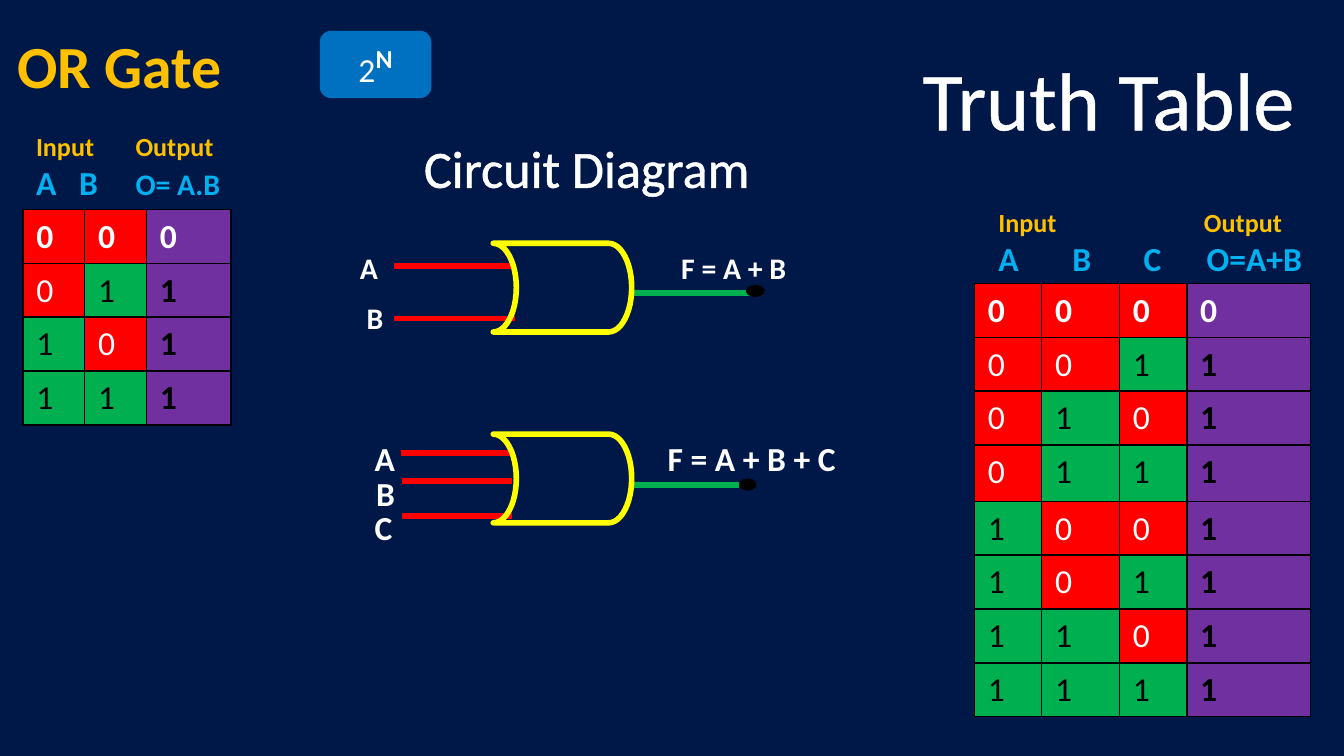
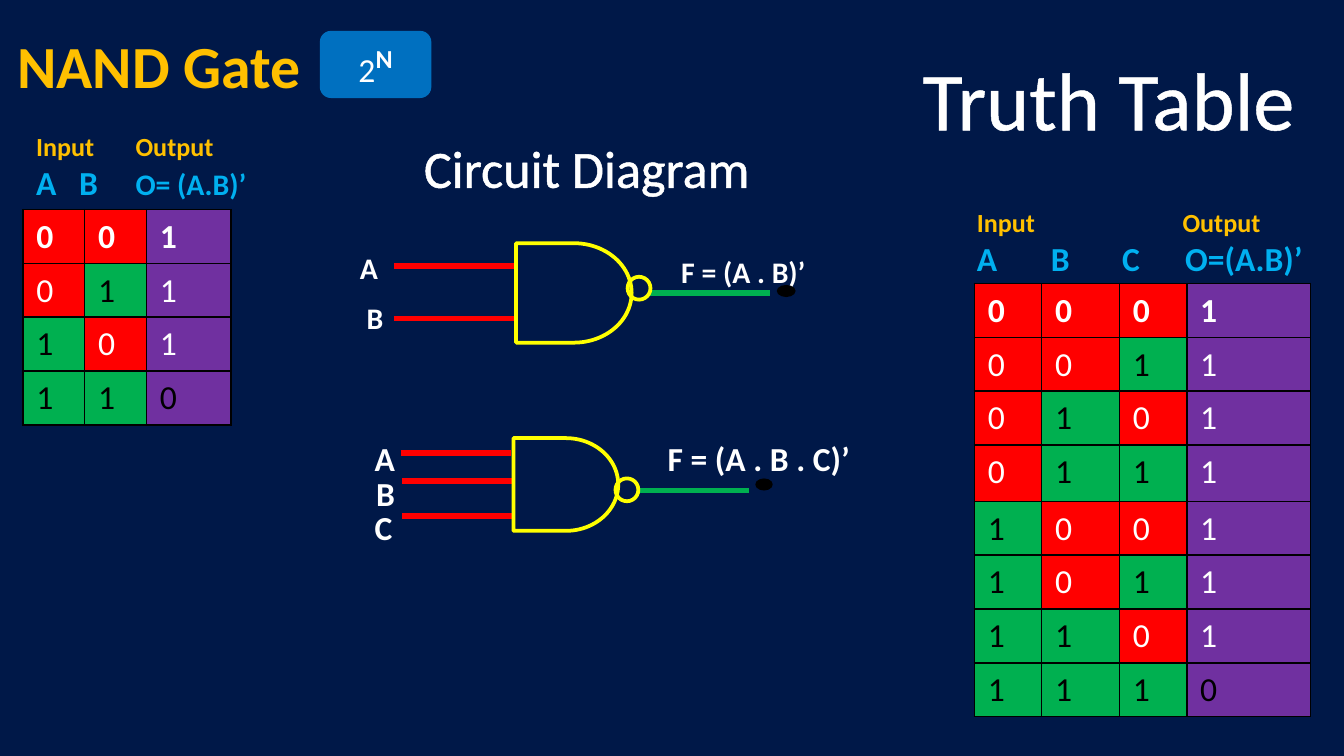
"""Build two slides on the OR and NAND gates, each with truth tables and circuit diagrams."""
from itertools import product

from lxml import etree
from pptx import Presentation
from pptx import util as u
from pptx.dml.color import RGBColor
from pptx.enum import shapes, text
from pptx.oxml.ns import qn

COLORS = {
    "navy": "001848", "gold": "FFC000", "sky": "00B0F0", "blue": "0070C0",
    "white": "FFFFFF", "black": "000000", "red": "FF0000", "green": "00B050",
    "purple": "7030A0", "yellow": "FFFF00",
}
FONT = "Calibri"
KIND = shapes.MSO_SHAPE


def add_text(canvas, at, lines, wrap=False, middle=False, center=False, kind=None):
    """Add a box whose lines are lists of (words, size, color, bold) spans."""
    place = [u.Inches(value) for value in at]
    box = canvas.add_shape(kind, *place) if kind else canvas.add_textbox(*place)
    frame = box.text_frame
    frame.word_wrap = wrap
    frame.vertical_anchor = text.MSO_ANCHOR.MIDDLE if middle else text.MSO_ANCHOR.TOP
    for index, line in enumerate(lines):
        para = frame.add_paragraph() if index else frame.paragraphs[0]
        para.alignment = text.PP_ALIGN.CENTER if center else text.PP_ALIGN.LEFT
        for words, size, color, bold in line:
            span = para.add_run()
            span.text = words
            span.font.name = FONT
            span.font.size = u.Pt(size)
            span.font.bold = bold
            span.font.color.rgb = RGBColor.from_string(COLORS[color])
    return box


def add_outline(canvas, kind, at, line=None, width=0, fill=None):
    """Add a preset shape with an optional line and fill."""
    shape = canvas.add_shape(kind, *[u.Inches(value) for value in at])
    shape.shadow.inherit = False
    if fill:
        shape.fill.solid()
        shape.fill.fore_color.rgb = RGBColor.from_string(COLORS[fill])
    else:
        shape.fill.background()
    if line:
        shape.line.color.rgb = RGBColor.from_string(COLORS[line])
        shape.line.width = u.Pt(width)
    else:
        shape.line.fill.background()
    return shape


TABLES = [
    {"at": (0.17, 1.56), "columns": [0.46, 0.46, 0.63], "rows": [0.4] * 4},
    {"at": (7.25, 2.11), "columns": [0.5, 0.58, 0.5, 0.92],
     "rows": [0.4] * 3 + [0.42] + [0.4] * 4},
]
HEADER_TABS = [([0.74], [0.32, 0.74]), ([1.53], [0.55, 1.08, 1.55])]
HEADINGS = [("Truth Table", (6.75, 0.31, 3, 0.84), 44),
            ("Circuit Diagram", (3.04, 0.96, 2.65, 0.57), 28)]
CIRCUITS = [
    {"size": 16, "wires": [(2.93, 1.98), (2.93, 2.37)], "reach": 0.9,
     "labels": [("A", (2.58, 1.81, 0.27, 0.25)), ("B", (2.63, 2.18, 0.26, 0.25))]},
    {"size": 18, "wires": [(2.98, 3.37), (2.99, 3.58), (2.99, 3.84)], "reach": 0.82,
     "labels": [("A", (2.69, 3.21, 0.26, 0.26)), ("B", (2.7, 3.47, 0.26, 0.26)),
                ("C", (2.69, 3.72, 0.24, 0.26))]},
]
GATES = [
    {
        "title": "OR Gate", "title_width": 2.1, "output": any, "bold_output": True,
        "headers": [("O= A.B", (0.17, 0.92, 1.6, 0.64)),
                    ("O=A+B", (7.33, 1.49, 2.58, 0.64))],
        "kind": KIND.FLOWCHART_STORED_DATA, "turn": 180, "line": 3,
        "bodies": [(3.67, 1.81, 1.03, 0.66), (3.67, 3.23, 1.03, 0.66)],
        "bubbles": [],
        "formulas": [("F = A + B", (4.97, 1.81, 1, 0.37)),
                     ("F = A + B + C", (4.87, 3.21, 1.47, 0.4))],
        "output_wires": [(4.69, 2.18), (4.68, 3.61)],
        "dots": [(5.55, 2.12, 0.14, 0.09), (5.5, 3.56, 0.13, 0.09)],
    },
    {
        "title": "NAND Gate", "title_width": 2.36, "bold_output": False,
        "output": lambda bits: not all(bits),
        "headers": [("O= (A.B)’", (0.17, 0.92, 1.79, 0.64)),
                    ("O=(A.B)’", (7.17, 1.49, 2.92, 0.64))],
        "kind": KIND.FLOWCHART_DELAY, "turn": 0, "line": 2,
        "bodies": [(3.84, 1.81, 0.86, 0.74), (3.82, 3.26, 0.78, 0.69)],
        "bubbles": [(4.67, 2.06, 0.17, 0.17), (4.58, 3.56, 0.17, 0.17)],
        "formulas": [("F = (A . B)’", (4.97, 1.84, 1.14, 0.37)),
                     ("F = (A . B . C)’", (4.87, 3.21, 1.57, 0.4))],
        "output_wires": [(4.83, 2.18), (4.75, 3.65)],
        "dots": [(5.78, 2.12, 0.14, 0.09), (5.62, 3.56, 0.13, 0.09)],
    },
]

deck = Presentation()
deck.slide_width = u.Inches(10)
deck.slide_height = u.Inches(10 * 9 / 16)

for gate in GATES:
    page = deck.slides.add_slide(deck.slide_layouts[6])
    page.background.fill.solid()
    page.background.fill.fore_color.rgb = RGBColor.from_string(COLORS["navy"])
    add_text(page.shapes, (0.03, 0.01, gate["title_width"], 0.94),
             [[(gate["title"], 32, "gold", True)]], wrap=True, middle=True)

    for layout in TABLES:
        columns, rows = layout["columns"], layout["rows"]
        left, top = layout["at"]
        grid = page.shapes.add_table(
            len(rows), len(columns), u.Inches(left), u.Inches(top),
            u.Inches(sum(columns)), u.Inches(sum(rows))).table
        for column, width in zip(grid.columns, columns):
            column.width = u.Inches(width)
        for row, height in zip(grid.rows, rows):
            row.height = u.Inches(height)
        states = list(product((0, 1), repeat=len(columns) - 1))
        first_output = gate["output"](states[0])
        for row_index, bits in enumerate(states):
            output = gate["output"](bits)
            for column_index, value in enumerate([*bits, int(output)]):
                is_output = column_index == len(bits)
                dark = output != first_output if is_output else value
                fill = "purple" if is_output else ("red", "green")[value]
                cell = grid.cell(row_index, column_index)
                cell.fill.solid()
                cell.fill.fore_color.rgb = RGBColor.from_string(COLORS[fill])
                cell.text_frame.text = str(value)
                font = cell.text_frame.paragraphs[0].runs[0].font
                font.name, font.size = FONT, u.Pt(18)
                font.bold = row_index == 0 or (is_output and gate["bold_output"])
                font.color.rgb = RGBColor.from_string(COLORS["black" if dark else "white"])
                properties = cell._tc.get_or_add_tcPr()
                for position, side in enumerate(("a:lnL", "a:lnR", "a:lnT", "a:lnB")):
                    border = etree.Element(qn(side), w=str(u.Pt(1)))
                    paint = etree.SubElement(border, qn("a:solidFill"))
                    etree.SubElement(paint, qn("a:srgbClr"), val=COLORS["black"])
                    properties.insert(position, border)

    badge = add_text(page.shapes, (2.38, 0.23, 0.83, 0.5),
                     [[("2", 18, "white", False), ("N", 24, "white", True)]],
                     wrap=True, middle=True, center=True, kind=KIND.ROUNDED_RECTANGLE)
    badge.shadow.inherit = False
    badge.fill.solid()
    badge.fill.fore_color.rgb = RGBColor.from_string(COLORS["blue"])
    badge.line.fill.background()
    badge.text_frame.paragraphs[0].runs[1].font._element.set("baseline", "30000")

    for (output_name, at), names, size, tabs in zip(
            gate["headers"], ("A\tB\t", "A\tB\tC\t"), (16, 18), HEADER_TABS):
        header = add_text(page.shapes, at, [
            [("Input\tOutput", 14, "gold", True)],
            [(names, 18, "sky", True), (output_name, size, "sky", True)]], wrap=True)
        header.text_frame.margin_right = 0
        for para, stops in zip(header.text_frame.paragraphs, tabs):
            tab_list = etree.SubElement(para._p.get_or_add_pPr(), qn("a:tabLst"))
            for stop in stops:
                etree.SubElement(tab_list, qn("a:tab"), pos=str(u.Inches(stop)), algn="l")

    for circuit, body, formula, start, dot in zip(
            CIRCUITS, gate["bodies"], gate["formulas"], gate["output_wires"], gate["dots"]):
        group = page.shapes.add_group_shape().shapes
        wires = [(start, "green")] + [(wire, "red") for wire in circuit["wires"]]
        for (x, y), color in wires:
            wire = group.add_connector(
                shapes.MSO_CONNECTOR.STRAIGHT, u.Inches(x), u.Inches(y),
                u.Inches(x + circuit["reach"]), u.Inches(y))
            wire.line.color.rgb = RGBColor.from_string(COLORS[color])
            wire.line.width = u.Pt(3)
            etree.SubElement(wire._element.spPr, qn("a:effectLst"))
        for words, at in circuit["labels"] + [formula]:
            add_text(group, at, [[(words, circuit["size"], "white", True)]])
        add_outline(group, KIND.OVAL, dot, fill="black")
        symbol = add_outline(group, gate["kind"], body, "yellow", gate["line"])
        symbol.rotation = gate["turn"]

    for words, at, size in HEADINGS:
        heading = add_text(page.shapes, at, [[(words, size, "white", False)]], center=True)
        edge = etree.Element(qn("a:ln"), w=str(u.Pt(1.45)))
        paint = etree.SubElement(edge, qn("a:solidFill"))
        etree.SubElement(paint, qn("a:srgbClr"), val=COLORS["white"])
        heading.text_frame.paragraphs[0].runs[0].font._element.insert(0, edge)

    for bubble in gate["bubbles"]:
        add_outline(page.shapes, KIND.FLOWCHART_CONNECTOR, bubble, "yellow", 2)

deck.save("out.pptx")
